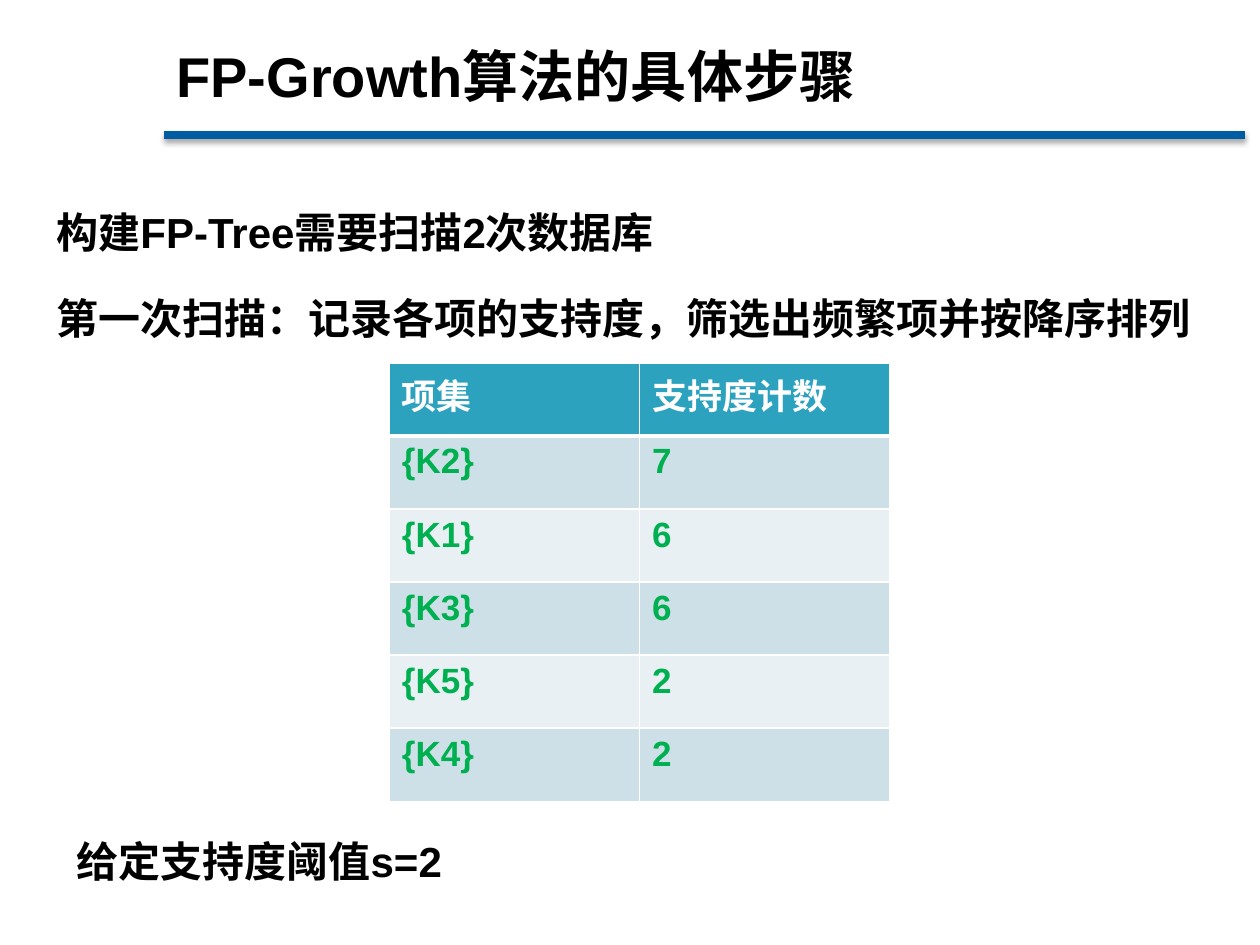
from dataclasses import dataclass

from lxml.etree import SubElement
from pptx import Presentation
from pptx.dml.color import RGBColor
from pptx.enum.shapes import MSO_CONNECTOR
from pptx.enum.text import MSO_ANCHOR, MSO_AUTO_SIZE, PP_ALIGN
from pptx.oxml.ns import qn
from pptx.util import Inches, Pt


@dataclass(frozen=True)
class Theme:
    font: str = "Arial"
    ink: str = "000000"
    rule: str = "005CA2"
    white: str = "FFFFFF"
    header: str = "2DA2BF"
    bands: tuple = ("CDE0E8", "E8F0F4")
    item: str = "00B050"
    title_size: int = 32
    body_size: int = 24
    table_size: int = 20
    rule_width: float = 4.5
    grid_width: int = 1
    header_border: int = 3


class SlideBuilder:
    def __init__(self, slide, theme):
        self.slide = slide
        self.theme = theme

    def apply(self, target, values):
        for name, value in values.items():
            setattr(target, name, value)

    def style(self, paragraph, size, color):
        self.apply(paragraph.font, {"name": self.theme.font, "size": Pt(size), "bold": True})
        paragraph.font.color.rgb = RGBColor.from_string(color)

    def title(self, wording, left, top, width, height):
        heading = self.slide.shapes.title
        self.apply(heading, {"left": Inches(left), "top": Inches(top),
                             "width": Inches(width), "height": Inches(height)})
        frame = heading.text_frame
        self.apply(frame, {"text": wording, "word_wrap": True,
                           "auto_size": MSO_AUTO_SIZE.NONE,
                           "vertical_anchor": MSO_ANCHOR.MIDDLE})
        frame.paragraphs[0].alignment = PP_ALIGN.LEFT
        self.style(frame.paragraphs[0], self.theme.title_size, self.theme.ink)

    def rule(self, left, right, y):
        underline = self.slide.shapes.add_connector(
            MSO_CONNECTOR.STRAIGHT, Inches(left), Inches(y), Inches(right), Inches(y))
        underline.line.color.rgb = RGBColor.from_string(self.theme.rule)
        underline.line.width = Pt(self.theme.rule_width)
        effects = SubElement(underline._element.spPr, qn("a:effectLst"))
        shadow = SubElement(effects, qn("a:outerShdw"), blurRad=str(Pt(3.1)),
                            dist=str(Pt(1.8)), dir="5400000", rotWithShape="0")
        tint = SubElement(shadow, qn("a:srgbClr"), val=self.theme.ink)
        SubElement(tint, qn("a:alpha"), val="35000")

    def text(self, lines, left, top, width, height, spacing=1.0, gap=0):
        frame = self.slide.shapes.add_textbox(
            Inches(left), Inches(top), Inches(width), Inches(height)).text_frame
        self.apply(frame, {"text": "\n".join(lines), "word_wrap": True})
        for index, paragraph in enumerate(frame.paragraphs):
            self.apply(paragraph, {"line_spacing": spacing,
                                   "space_before": Pt(gap if index else 0)})
            self.style(paragraph, self.theme.body_size, self.theme.ink)

    def borders(self, cell, top, bottom):
        grid = self.theme.grid_width
        properties = cell._tc.get_or_add_tcPr()
        for side, width in {"lnL": grid, "lnR": grid, "lnT": top, "lnB": bottom}.items():
            edge = SubElement(properties, qn(f"a:{side}"), w=str(Pt(width)))
            fill = SubElement(edge, qn("a:solidFill"))
            SubElement(fill, qn("a:srgbClr"), val=self.theme.white)

    def table(self, records, left, top, width, height):
        theme = self.theme
        grid = self.slide.shapes.add_table(
            len(records), len(records[0]), Inches(left), Inches(top),
            Inches(width), Inches(height)).table
        for row, record in enumerate(records):
            background = theme.bands[(row - 1) % 2] if row else theme.header
            upper = theme.header_border if row == 1 else theme.grid_width
            lower = theme.header_border if row == 0 else theme.grid_width
            for column, wording in enumerate(record):
                cell = grid.cell(row, column)
                cell.text = wording
                self.borders(cell, upper, lower)
                cell.fill.solid()
                cell.fill.fore_color.rgb = RGBColor.from_string(background)
                self.style(cell.text_frame.paragraphs[0], theme.table_size,
                           theme.item if row else theme.white)


def main():
    deck = Presentation()
    deck.slide_width, deck.slide_height = Inches(10), Inches(7.5)
    page = SlideBuilder(deck.slides.add_slide(deck.slide_layouts[5]), Theme())
    page.rule(1.3, 9.88, 1.07)
    page.title("FP-Growth算法的具体步骤", 1.3, 0.13, 8.64, 0.94)
    page.text(["构建FP-Tree需要扫描2次数据库",
               "第一次扫描：记录各项的支持度，筛选出频繁项并按降序排列"],
              0.35, 1.39, 9.45, 0.82, spacing=1.5, gap=6)
    supports = [("项集", "支持度计数"), ("{K2}", "7"), ("{K1}", "6"),
                ("{K3}", "6"), ("{K5}", "2"), ("{K4}", "2")]
    page.table(supports, 3.09, 2.88, 3.97, 3.48)
    page.text(["给定支持度阈值s=2"], 0.51, 6.58, 4.25, 0.5)
    deck.save("out.pptx")


if __name__ == "__main__":
    main()
